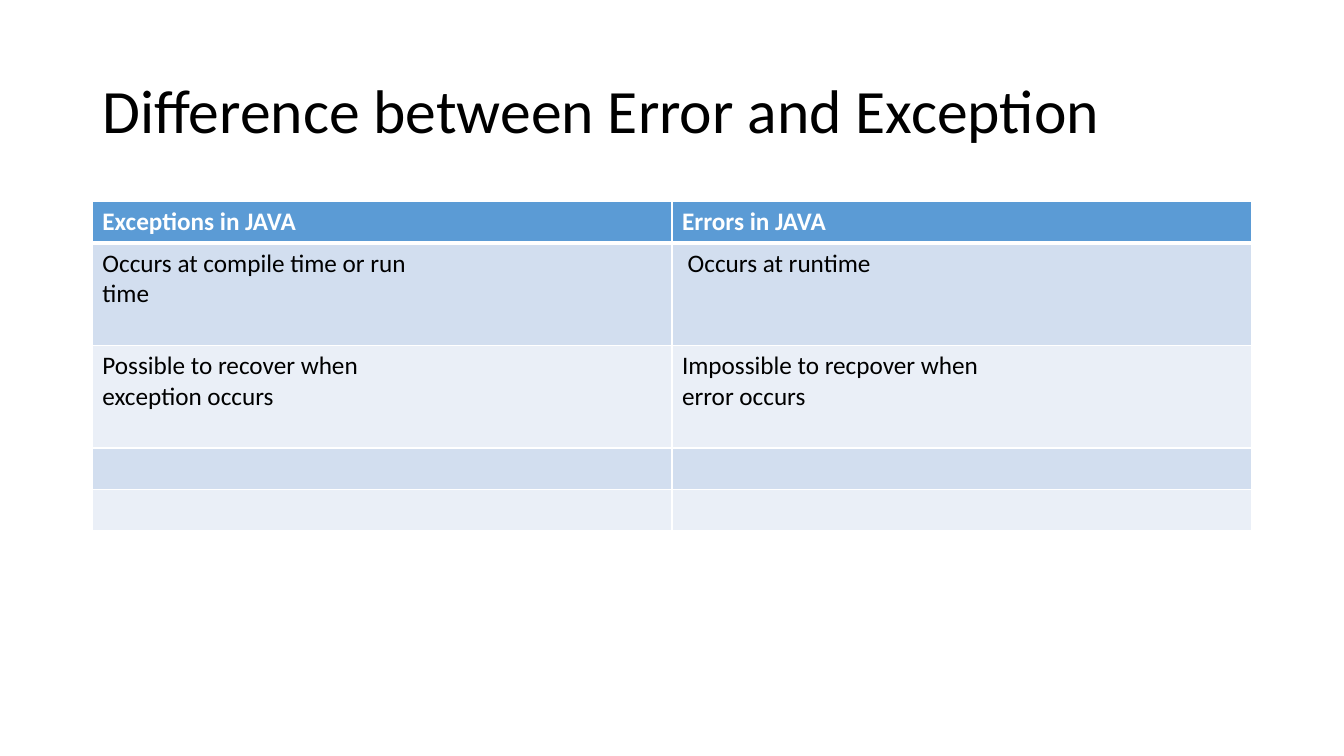
from dataclasses import dataclass
from lxml.etree import SubElement
from pptx import Presentation
from pptx.dml.color import RGBColor
from pptx.enum.text import MSO_ANCHOR, MSO_AUTO_SIZE, PP_ALIGN
from pptx.oxml.ns import qn
from pptx.util import Pt


@dataclass(frozen=True)
class Theme:
    """Colours and type sizes of the deck."""
    font: str = "Calibri"
    title: int = 44
    body: int = 18
    ink: str = "000000"
    paper: str = "FFFFFF"
    head: str = "5B9BD5"
    bands: tuple = ("D2DEEF", "EAEFF7")


class Deck:
    """Draws styled elements on the current slide."""

    def __init__(self, theme):
        self.theme = theme
        self.prs = Presentation()
        self.prs.slide_width, self.prs.slide_height = Pt(960), Pt(540)
        self.slide = self.prs.slides.add_slide(self.prs.slide_layouts[5])

    def text(self, para, words, size, color, bold=False):
        run = para.add_run()
        run.text = words
        font = run.font
        font.name, font.size, font.bold = self.theme.font, Pt(size), bold
        font.color.rgb = RGBColor.from_string(color)

    def title(self, words, left, top, width, height):
        box = self.slide.shapes.title
        box.left, box.top = Pt(left), Pt(top)
        box.width, box.height = Pt(width), Pt(height)
        frame = box.text_frame
        frame.auto_size, frame.word_wrap = MSO_AUTO_SIZE.NONE, True
        frame.vertical_anchor = MSO_ANCHOR.MIDDLE
        para = frame.paragraphs[0]
        para.alignment, para.line_spacing = PP_ALIGN.LEFT, 0.9
        self.text(para, words, self.theme.title, self.theme.ink)

    def border(self, cell, row):
        props = cell._tc.get_or_add_tcPr()
        thick = {0: "lnB", 1: "lnT"}.get(row)
        for side in ("lnL", "lnR", "lnT", "lnB"):
            width = Pt(3 if side == thick else 1)
            line = SubElement(props, qn(f"a:{side}"), w=str(width))
            fill = SubElement(line, qn("a:solidFill"))
            SubElement(fill, qn("a:srgbClr"), val=self.theme.paper)

    def cell(self, cell, row, lines):
        theme = self.theme
        head = row == 0
        self.border(cell, row)
        cell.fill.solid()
        shade = theme.head if head else theme.bands[(row - 1) % 2]
        cell.fill.fore_color.rgb = RGBColor.from_string(shade)
        frame = cell.text_frame
        frame.paragraphs[0].font.size = Pt(theme.body)
        for num, words in enumerate(lines):
            para = frame.add_paragraph() if num else frame.paragraphs[0]
            self.text(para, words, theme.body, theme.paper if head else theme.ink, head)

    def table(self, rows, highs, left, top, width):
        cols = len(rows[0])
        grid = self.slide.shapes.add_table(
            len(rows), cols, Pt(left), Pt(top), Pt(width), Pt(sum(highs))).table
        for col in grid.columns:
            col.width = Pt(width / cols)
        for row, (cells, high) in enumerate(zip(rows, highs)):
            grid.rows[row].height = Pt(high)
            for col, lines in enumerate(cells):
                self.cell(grid.cell(row, col), row, lines)


ROWS = [
    (["Exceptions in JAVA"], ["Errors in JAVA"]),
    (["Occurs at compile time or run", "time"], [" Occurs at runtime"]),
    (["Possible to recover when", "exception occurs"],
     ["Impossible to recpover when", "error occurs"]),
    ([], []),
    ([], []),
]


def main():
    deck = Deck(Theme())
    deck.title("Difference between Error and Exception", 66, 28.75, 828, 104.4)
    deck.table(ROWS, (29.6, 73.2, 73.2, 29.6, 29.6), 66, 144, 828)
    deck.prs.save("out.pptx")


if __name__ == "__main__":
    main()
